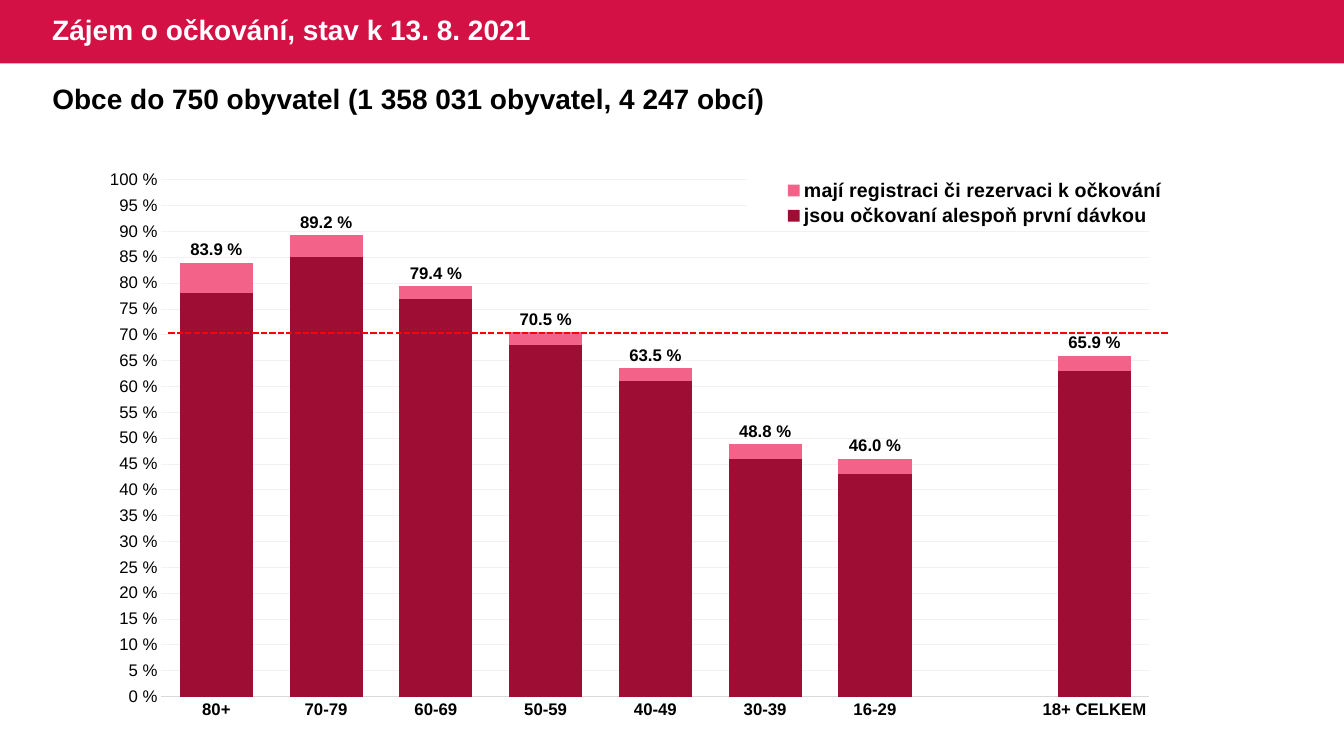
from lxml import etree
from pptx import Presentation
from pptx.chart.data import CategoryChartData
from pptx.dml.color import RGBColor
from pptx.enum.chart import XL_CHART_TYPE, XL_LABEL_POSITION, XL_LEGEND_POSITION, XL_TICK_MARK
from pptx.enum.dml import MSO_LINE
from pptx.enum.shapes import MSO_CONNECTOR, MSO_SHAPE
from pptx.enum.text import MSO_ANCHOR
from pptx.oxml import parse_xml
from pptx.oxml.ns import nsdecls, qn
from pptx.util import Inches, Pt

COLUMN = XL_CHART_TYPE.COLUMN_CLUSTERED
ABOVE = XL_LABEL_POSITION.OUTSIDE_END
TOP = XL_LEGEND_POSITION.TOP
NO_TICK = XL_TICK_MARK.NONE
DASH = MSO_LINE.SQUARE_DOT
STRAIGHT = MSO_CONNECTOR.STRAIGHT
RECT = MSO_SHAPE.RECTANGLE
MIDDLE = MSO_ANCHOR.MIDDLE

FONT = "Arial"
COLORS = {
    "band": "D31145", "white": "FFFFFF", "black": "000000", "axis": "D9D9D9",
    "grid": "F2F2F2", "booked": "F26289", "dosed": "9E0D34", "goal": "FF0000",
}
AGES = ["80+", "70-79", "60-69", "50-59", "40-49", "30-39", "16-29", "", "18+ CELKEM"]
SERIES = [
    ("mají registraci či rezervaci k očkování", "booked",
     [83.9, 89.2, 79.4, 70.5, 63.5, 48.8, 46, None, 65.9]),
    ("jsou očkovaní alespoň první dávkou", "dosed",
     [78, 85, 77, 68, 61, 46, 43, None, 63]),
]


def color(name):
    """Return the named colour."""
    return RGBColor.from_string(COLORS[name])


def style(font, size, bold=False, name="black"):
    """Set size, weight, colour and typeface of a font."""
    font.name = FONT
    font.size = Pt(size)
    font.bold = bold
    font.color.rgb = color(name)


def rule(line, name, width):
    """Set colour and width of a line."""
    line.color.rgb = color(name)
    line.width = Pt(width)


def add_text(slide, box, text, name):
    """Add a bold heading in the given box."""
    frame = slide.shapes.add_textbox(*map(Inches, box)).text_frame
    frame.word_wrap = True
    frame.text = text
    style(frame.paragraphs[0].runs[0].font, 20, True, name)
    return frame


def add_header(slide, left, top, width, height):
    """Draw the title band."""
    band = slide.shapes.add_shape(RECT, *map(Inches, (left, top, width, height)))
    band.shadow.inherit = False
    band.fill.solid()
    band.fill.fore_color.rgb = color("band")
    band.line.fill.background()
    box = (left + 0.42, top, 5.9, height)
    frame = add_text(slide, box, "Zájem o očkování, stav k 13. 8. 2021", "white")
    frame.vertical_anchor = MIDDLE
    frame.paragraphs[0].line_spacing = 0.9


def set_layout(parent, index, box, inner=False):
    """Fix the place of a chart part as fractions of the chart."""
    for old in parent.findall(qn("c:layout")):
        parent.remove(old)
    layout = parse_xml(f"<c:layout {nsdecls('c')}><c:manualLayout/></c:layout>")
    items = [("layoutTarget", "inner")] if inner else []
    items += [("xMode", "edge"), ("yMode", "edge"), *zip("xywh", box)]
    for tag, val in items:
        etree.SubElement(layout[0], qn("c:" + tag)).set("val", str(val))
    parent.insert(index, layout)


def format_axes(chart):
    """Style both axes and the grid."""
    ages, share = chart.category_axis, chart.value_axis
    for axis in (ages, share):
        axis.major_tick_mark = axis.minor_tick_mark = NO_TICK
    style(ages.tick_labels.font, 12, True)
    rule(ages.format.line, "axis", 0.75)
    style(share.tick_labels.font, 12)
    share.tick_labels.number_format = '0" %"'
    share.tick_labels.number_format_is_linked = False
    share.minimum_scale, share.maximum_scale, share.major_unit = 0, 100, 5
    share.format.line.fill.background()
    rule(share.major_gridlines.format.line, "grid", 0.5)


def add_legend(chart):
    """Place the legend on a white ground over the plot."""
    chart.has_legend = True
    legend = chart.legend
    legend.position = TOP
    legend.include_in_layout = False
    style(legend.font, 14, True)
    root = chart._chartSpace.find(".//" + qn("c:legend"))
    set_layout(root, 1, (0.571, 0.026, 0.41, 0.093))
    root.find(qn("c:overlay")).addnext(parse_xml(
        f"<c:spPr {nsdecls('c', 'a')}><a:solidFill>"
        f"<a:srgbClr val=\"{COLORS['white']}\"/></a:solidFill></c:spPr>"))


def add_bars(slide, left, top, width, height):
    """Draw the overlapping columns and the 70 % line."""
    data = CategoryChartData()
    data.categories = AGES
    for label, _, vals in SERIES:
        data.add_series(label, vals)
    box = map(Inches, (left, top, width, height))
    chart = slide.shapes.add_chart(COLUMN, *box, data).chart
    chart.has_title = False
    style(chart.font, 10)
    plot = chart.plots[0]
    plot.gap_width, plot.overlap = 50, 100
    plot.vary_by_categories = False
    for series, (_, name, _) in zip(plot.series, SERIES):
        series.format.fill.solid()
        series.format.fill.fore_color.rgb = color(name)
        series.invert_if_negative = False
    labels = plot.series[0].data_labels
    labels.show_value = True
    labels.number_format = '0.0" %"'
    labels.number_format_is_linked = False
    labels.position = ABOVE
    style(labels.font, 12, True)
    format_axes(chart)
    add_legend(chart)
    area = chart._chartSpace.find(".//" + qn("c:plotArea"))
    set_layout(area, 0, (0.045, 0.032, 0.888, 0.895), True)

    ends = (left + 0.58, top + 1.7, left + 10.5, top + 1.7)
    goal = slide.shapes.add_connector(STRAIGHT, *map(Inches, ends))
    rule(goal.line, "goal", 1.5)
    goal.line.dash_style = DASH
    etree.SubElement(goal._element.spPr, qn("a:effectLst"))


def main():
    """Build and save the slide."""
    deck = Presentation()
    deck.slide_width, deck.slide_height = Inches(13.33), Inches(7.5)
    slide = deck.slides.add_slide(deck.slide_layouts[6])
    add_header(slide, 0, 0, 13.33, 0.63)
    add_text(slide, (0.42, 0.76, 12.39, 0.44),
             "Obce do 750 obyvatel (1 358 031 obyvatel, 4 247 obcí)", "black")
    add_bars(slide, 1.09, 1.6, 11.05, 5.73)
    deck.save("out.pptx")


if __name__ == "__main__":
    main()
